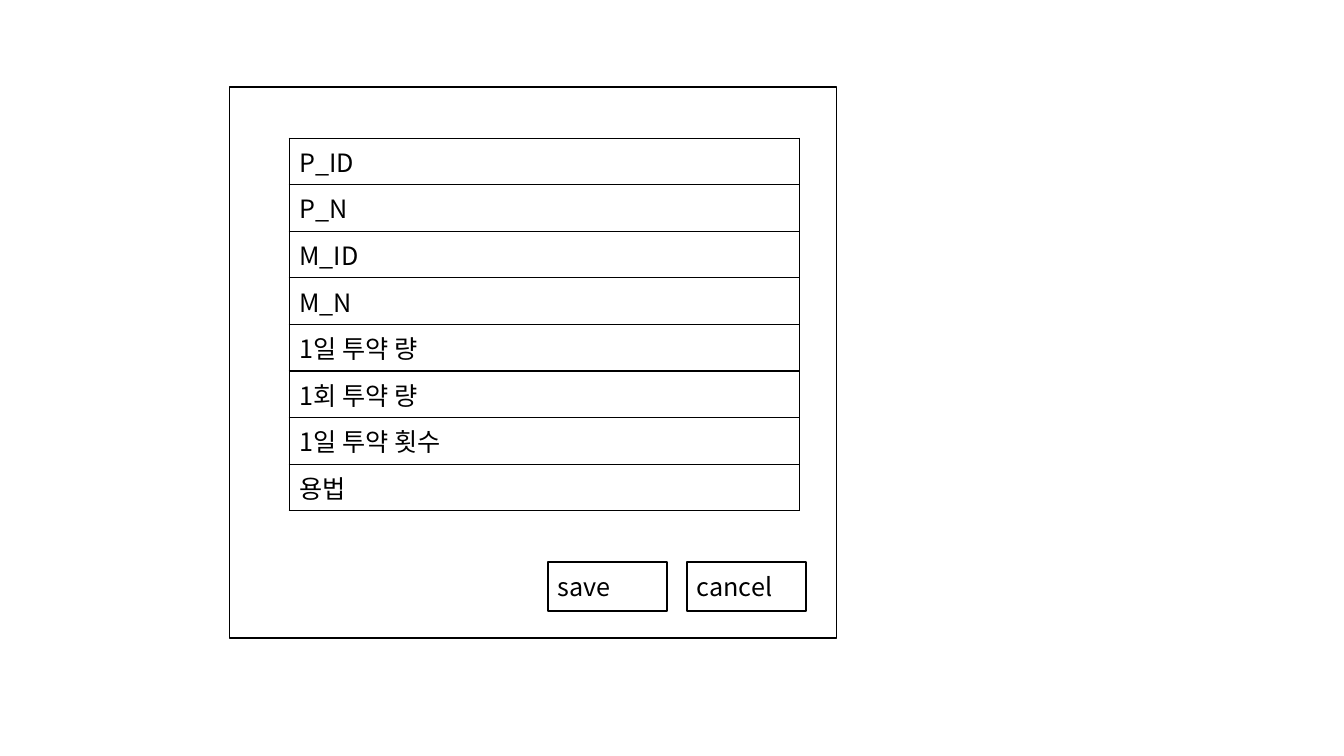
from lxml import etree
from pptx import Presentation
from pptx.dml.color import RGBColor
from pptx.enum.shapes import MSO_SHAPE
from pptx.enum.text import MSO_ANCHOR, PP_ALIGN
from pptx.oxml.ns import qn
from pptx.util import Cm, Pt

RECTANGLE = MSO_SHAPE.RECTANGLE
MIDDLE = MSO_ANCHOR.MIDDLE
LEFT = PP_ALIGN.LEFT

COLOURS = {"paper": "FFFFFF", "ink": "000000"}
FIELDS = ["P_ID", "P_N", "M_ID", "M_N", "1일 투약 량", "1회 투약 량", "1일 투약 횟수", "용법"]
BUTTONS = ["save", "cancel"]
BUTTON_LEFT, BUTTON_PITCH = 13.81, 3.5


def colour(name):
    return RGBColor.from_string(COLOURS[name])


def write_text(text_frame, text, font="Noto Sans CJK KR", size=18, ink="ink", align=LEFT):
    paragraph = text_frame.paragraphs[0]
    paragraph.alignment = align
    run = paragraph.add_run()
    run.text = text
    run.font.name = font
    run.font.size = Pt(size)
    run.font.color.rgb = colour(ink)
    # Hangul takes its typeface from the East Asian slot.
    etree.SubElement(run.font._element, qn("a:ea"), typeface=font)


class FormSlide:
    """Holds the current slide and the line style its elements share."""

    def __init__(self, slide, line_width=1):
        self.slide = slide
        self.line_width = Pt(line_width)

    def box(self, left, top, width, height, text=None):
        shape = self.slide.shapes.add_shape(
            RECTANGLE, Cm(left), Cm(top), Cm(width), Cm(height))
        shape.shadow.inherit = False
        shape.fill.solid()
        shape.fill.fore_color.rgb = colour("paper")
        shape.line.color.rgb = colour("ink")
        shape.line.width = self.line_width
        if text:
            shape.text_frame.vertical_anchor = MIDDLE
            write_text(shape.text_frame, text)

    def field_table(self, left, top, width, row_height, fields):
        table = self.slide.shapes.add_table(
            len(fields), 1, Cm(left), Cm(top), Cm(width), Cm(row_height * len(fields))).table
        table.first_row = False
        table.horz_banding = False
        for row, field in zip(table.rows, fields):
            row.height = Cm(row_height)
            cell = row.cells[0]
            self.cell_borders(cell)
            cell.fill.background()
            write_text(cell.text_frame, field)

    def cell_borders(self, cell):
        properties = cell._tc.get_or_add_tcPr()
        for side in ("a:lnL", "a:lnR", "a:lnT", "a:lnB"):
            border = etree.SubElement(properties, qn(side), w=str(self.line_width))
            fill = etree.SubElement(border, qn("a:solidFill"))
            etree.SubElement(fill, qn("a:srgbClr"), val=COLOURS["ink"])


def main():
    presentation = Presentation()
    presentation.slide_width = Cm(33.87)
    presentation.slide_height = Cm(19.05)
    blank_layout = presentation.slide_layouts[6]
    form = FormSlide(presentation.slides.add_slide(blank_layout))

    form.box(5.79, 2.19, 15.29, 13.89)
    form.field_table(7.29, 3.48, 12.85, 1.03, FIELDS)
    for index, label in enumerate(BUTTONS):
        form.box(BUTTON_LEFT + index * BUTTON_PITCH, 14.16, 3, 1.24, label)

    presentation.save("out.pptx")


if __name__ == "__main__":
    main()
